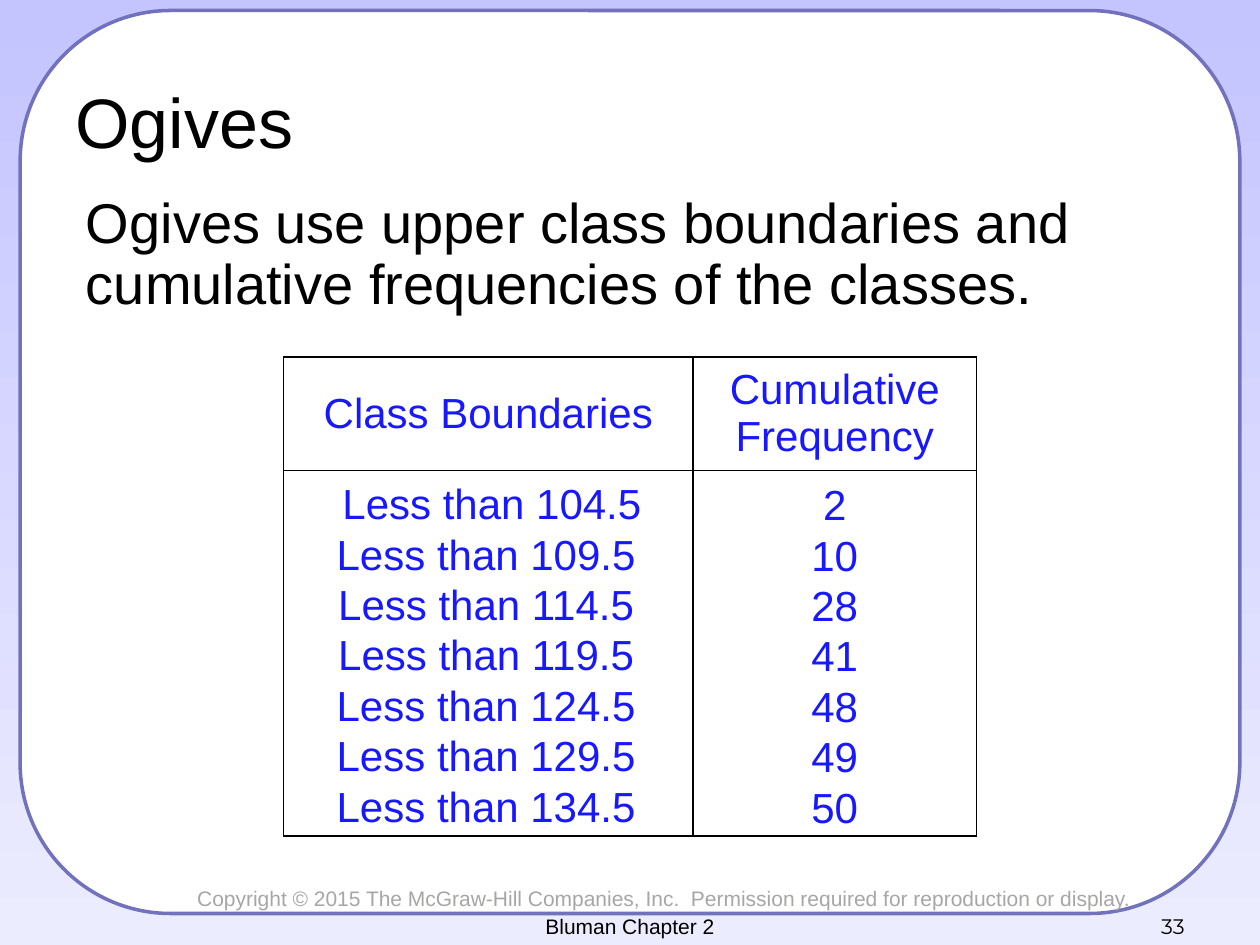
from dataclasses import dataclass
from typing import Any

from pptx import Presentation, util as u
from pptx.dml.color import RGBColor
from pptx.enum import shapes, text
from pptx.oxml import parse_xml
from pptx.oxml.ns import nsdecls

LEFT, MID, RIGHT = text.PP_ALIGN.LEFT, text.PP_ALIGN.CENTER, text.PP_ALIGN.RIGHT
TOP, CENTER, LOW = (text.MSO_ANCHOR.TOP, text.MSO_ANCHOR.MIDDLE,
                    text.MSO_ANCHOR.BOTTOM)


@dataclass(frozen=True)
class Theme:
    black: str = "000000"
    white: str = "FFFFFF"
    blue: str = "1818FF"
    gray: str = "A6A6A6"
    edge: str = "7171BD"
    sky: tuple[str, str] = ("C4C4FF", "ECECFF")
    font: str = "Arial"
    digit: str = "Montserrat"
    head: int = 40
    body: int = 32
    data: int = 24
    note: int = 12


T = Theme()


@dataclass(frozen=True)
class Box:
    """A place on a grid of 120 columns and 90 rows."""
    col: float
    row: float
    wide: float
    high: float

    def emu(self) -> tuple[int, ...]:
        return tuple(map(cell, (self.col, self.row, self.wide, self.high)))


@dataclass(frozen=True)
class Label:
    box: Box
    lines: tuple[str, ...]
    size: int
    color: str = T.black
    font: str = T.font
    align: Any = LEFT
    anchor: Any = TOP
    space: float = 1.0
    wrap: bool = True


def cell(count: float) -> int:
    """Turn grid units, twelve to the inch, into a length."""
    return u.Inches(count / 12)


def rgb(code: str) -> RGBColor:
    return RGBColor.from_string(code)


def write(frame: Any, item: Label) -> None:
    for i, line in enumerate(item.lines):
        para = frame.paragraphs[0] if i == 0 else frame.add_paragraph()
        para.alignment = item.align
        para.line_spacing = item.space
        run = para.add_run()
        run.text = line
        run.font.name = item.font
        run.font.size = u.Pt(item.size)
        run.font.color.rgb = rgb(item.color)


def label(slide: Any, item: Label) -> None:
    frame = slide.shapes.add_textbox(*item.box.emu()).text_frame
    frame.word_wrap = item.wrap
    frame.vertical_anchor = item.anchor
    write(frame, item)


def panel(slide: Any, box: Box) -> None:
    form = slide.shapes.add_shape(
        shapes.MSO_SHAPE.ROUNDED_RECTANGLE, *box.emu())
    form.shadow.inherit = False
    form.fill.solid()
    form.fill.fore_color.rgb = rgb(T.white)
    form.line.color.rgb = rgb(T.edge)
    form.line.width = u.Pt(2)


def border(part: Any) -> None:
    props = part._tc.get_or_add_tcPr()
    for side in "LRTB":
        props.append(parse_xml(
            f'<a:ln{side} {nsdecls("a")} w="{u.Pt(1)}"><a:solidFill>'
            f'<a:srgbClr val="{T.black}"/></a:solidFill></a:ln{side}>'))


def table(slide: Any, box: Box, heads: tuple[str, ...],
          cols: tuple[float, ...], rows: tuple[float, ...]) -> None:
    grid = slide.shapes.add_table(len(rows), len(cols), *box.emu()).table
    for col, wide in zip(grid.columns, cols):
        col.width = cell(wide)
    for row, high in zip(grid.rows, rows):
        row.height = cell(high)
    for part in grid.iter_cells():
        border(part)
        part.fill.background()
        part.vertical_anchor = CENTER
    for i, head in enumerate(heads):
        write(grid.cell(0, i).text_frame,
              Label(box, (head,), T.data, T.blue, align=MID))


BOUNDS = (" Less than 104.5",) + tuple(
    f"Less than {n}.5" for n in range(109, 135, 5))
COUNTS = ("2", "10", "28", "41", "48", "49", "50")

LABELS = (
    Label(Box(17.6, 83.7, 92, 3.6),
          ("Copyright © 2015 The McGraw-Hill Companies, Inc.  "
           "Permission required for reproduction or display.",),
          T.note, T.gray, wrap=False),
    Label(Box(6, 6, 108, 11), ("Ogives",), T.head, anchor=CENTER),
    Label(Box(7, 18, 100, 13),
          ("Ogives use upper class boundaries and cumulative frequencies "
           "of the classes.",), T.body, space=0.9),
    Label(Box(29.6, 44.9, 33.4, 35.2), BOUNDS, T.data, T.blue,
          align=MID, wrap=False),
    Label(Box(76, 45, 7, 35.2), COUNTS, T.data, T.blue,
          align=MID, wrap=False),
    Label(Box(86, 84, 28, 6), ("33",), T.note, font=T.digit,
          align=RIGHT, anchor=LOW),
    Label(Box(41, 84, 38, 6), ("Bluman Chapter 2",), T.note,
          align=MID, anchor=LOW),
)


def main() -> None:
    deck = Presentation()
    deck.slide_width, deck.slide_height = cell(120), cell(90)
    slide = deck.slides.add_slide(deck.slide_layouts[6])
    fill = slide.background.fill
    fill.gradient()
    fill.gradient_angle = 270
    for stop, code in zip(fill.gradient_stops, T.sky):
        stop.color.rgb = rgb(code)
    panel(slide, Box(1.92, 1, 116.16, 86))
    table(slide, Box(27, 34, 66, 45.6),
          ("Class Boundaries", "Cumulative Frequency"),
          (39, 27), (10.8, 34.8))
    for item in LABELS:
        label(slide, item)
    deck.save("out.pptx")


if __name__ == "__main__":
    main()
